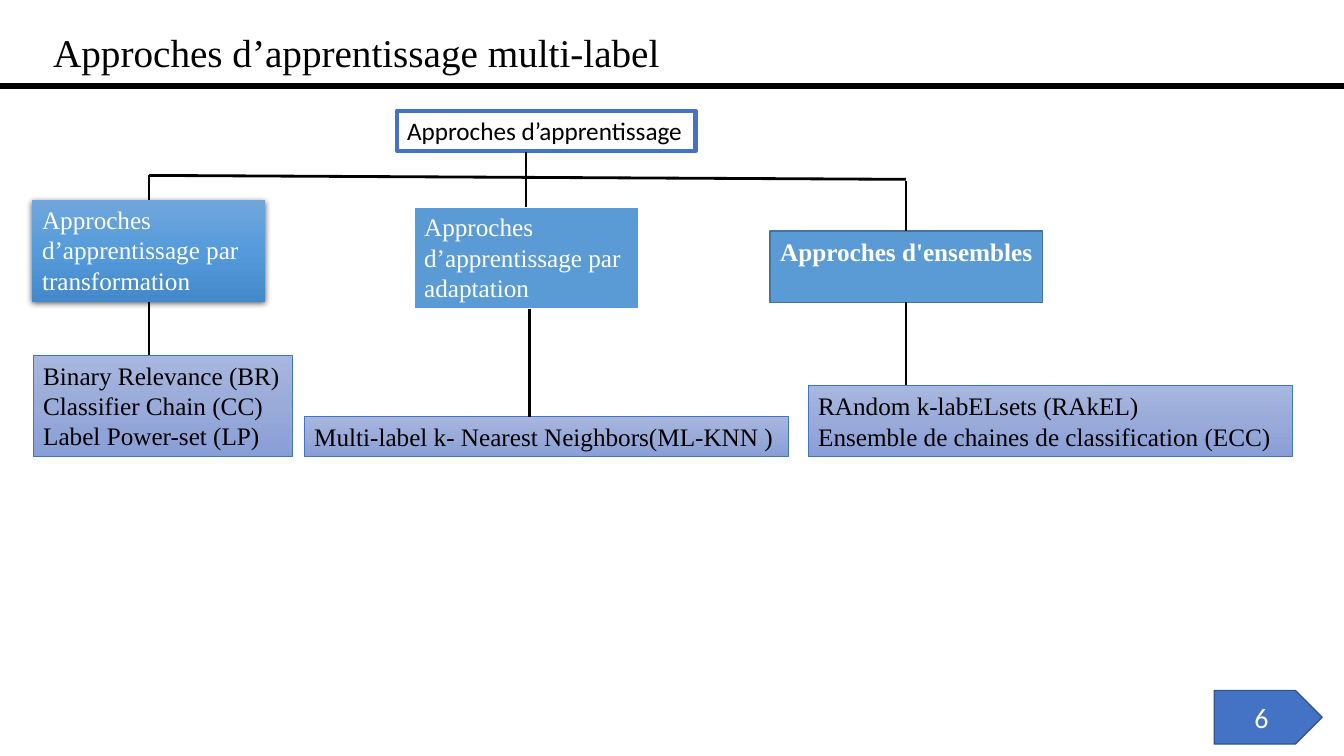
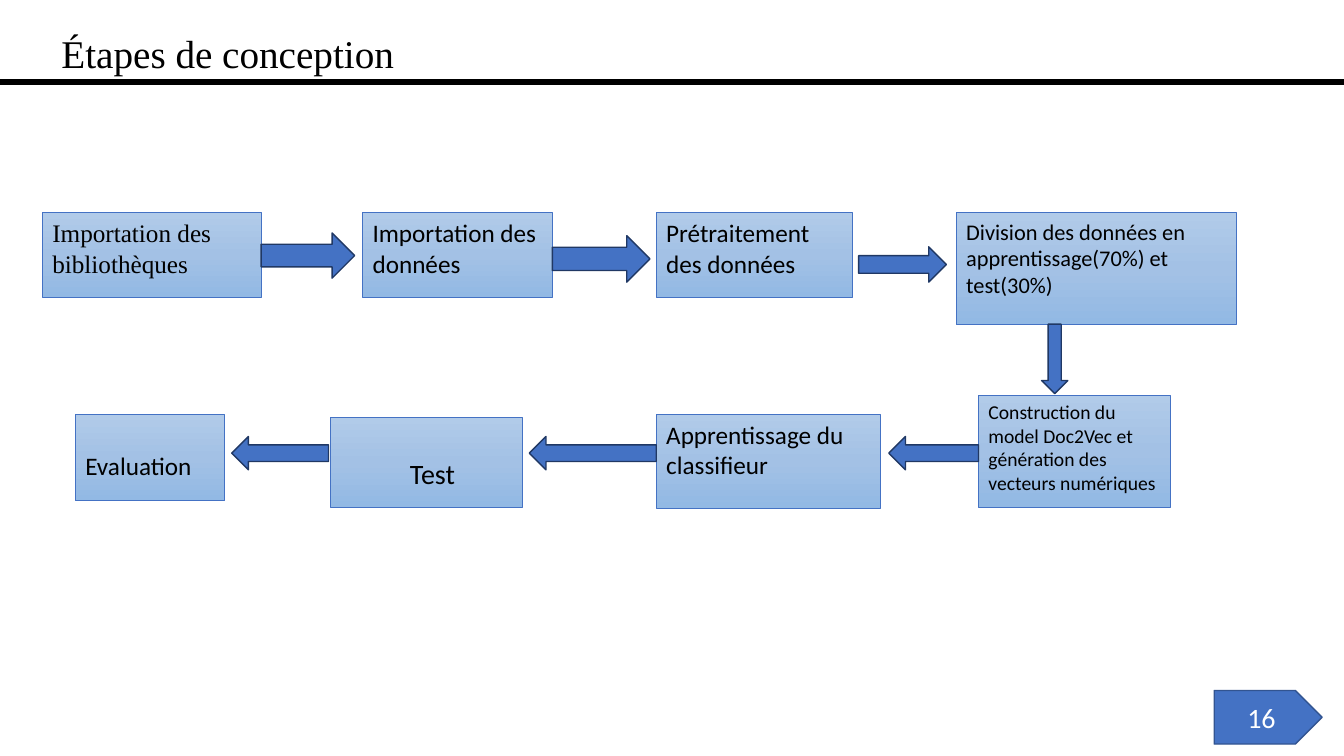
from copy import deepcopy
from dataclasses import dataclass

from lxml import etree
from pptx import Presentation
from pptx.dml.color import RGBColor
from pptx.enum.shapes import MSO_CONNECTOR, MSO_SHAPE
from pptx.enum.text import MSO_ANCHOR, MSO_AUTO_SIZE, PP_ALIGN
from pptx.oxml import parse_xml
from pptx.oxml.ns import nsdecls, qn
from pptx.util import Cm, Pt

STRAIGHT = MSO_CONNECTOR.STRAIGHT
RECTANGLE, PENTAGON = MSO_SHAPE.RECTANGLE, MSO_SHAPE.PENTAGON
RIGHT, LEFT, DOWN = MSO_SHAPE.RIGHT_ARROW, MSO_SHAPE.LEFT_ARROW, MSO_SHAPE.DOWN_ARROW
TOP, MIDDLE = MSO_ANCHOR.TOP, MSO_ANCHOR.MIDDLE
ALIGN_LEFT, ALIGN_CENTER = PP_ALIGN.LEFT, PP_ALIGN.CENTER
NO_AUTOFIT = MSO_AUTO_SIZE.NONE

WIDTH, HEIGHT = 33.87, 19.05


@dataclass(frozen=True)
class Look:
    """Fill (one colour or three gradient stops), outline and text colour."""
    fill: tuple
    line: str = ""
    weight: float = 0
    text: str = "000000"
    shadow: bool = False


@dataclass(frozen=True)
class Theme:
    serif: str = "Times New Roman"
    sans: str = "Calibri"
    ink: str = "000000"
    title_size: int = 28
    large_size: int = 20
    body_size: int = 18
    small_size: int = 16
    tiny_size: int = 14
    rule_weight: float = 4.25
    bus_weight: float = 2
    link_weight: float = 1.75
    root: Look = Look(("FFFFFF",), "4472C4", 3)
    raised: Look = Look(("71A6DB", "559BDB", "448ACA"), text="FFFFFF", shadow=True)
    framed: Look = Look(("5B9BD5",), "FFFFFF", 1.5, "FFFFFF")
    plain: Look = Look(("5B9BD5",), "43739E", 1, "FFFFFF")
    leaf: Look = Look(("A8B7DF", "9AABD9", "889ED7"), "4472C4", 0.5)
    step: Look = Look(("B1CBE9", "A3C1E5", "92B9E4"), "4472C4", 0.5)
    arrow: Look = Look(("4472C4",), "203864", 1)
    badge: Look = Look(("4472C4",), "325491", 1, "FFFFFF")


def set_attributes(target, values):
    for name, value in values.items():
        setattr(target, name, value)


class Deck:
    def __init__(self, theme):
        self.theme = theme
        self.presentation = Presentation()
        self.presentation.slide_width = Cm(WIDTH)
        self.presentation.slide_height = Cm(HEIGHT)
        self.slide = None

    def new_slide(self, title, title_box, rule_top, number):
        """Start a slide with its title, the rule below it and the page badge."""
        theme = self.theme
        self.slide = self.presentation.slides.add_slide(self.presentation.slide_layouts[6])
        shape = self.slide.shapes.add_textbox(*map(Cm, title_box))
        self.set_text(shape, [title], theme.ink,
                      {"size": Pt(theme.title_size), "name": theme.serif})
        self.line((0, rule_top), (WIDTH, rule_top), theme.rule_weight)
        badge = self.shape(PENTAGON, (30.6, 17.4, 2.72, 1.35), theme.badge)
        self.set_text(badge, [number], theme.badge.text,
                      {"size": Pt(theme.large_size), "name": theme.sans},
                      {"vertical_anchor": MIDDLE}, ALIGN_CENTER)

    def line(self, start, end, weight):
        connector = self.slide.shapes.add_connector(STRAIGHT, *map(Cm, (*start, *end)))
        connector.line.color.rgb = RGBColor.from_string(self.theme.ink)
        connector.line.width = Pt(weight)
        etree.SubElement(connector._element.spPr, qn("a:effectLst"))

    def shape(self, kind, box, look):
        shape = self.slide.shapes.add_shape(kind, *map(Cm, box))
        self.paint(shape, look.fill)
        if look.line:
            shape.line.color.rgb = RGBColor.from_string(look.line)
            shape.line.width = Pt(look.weight)
        else:
            shape.line.fill.background()
        shape.shadow.inherit = False
        if look.shadow:
            shape._element.spPr.find(qn("a:effectLst")).append(parse_xml(
                f'<a:outerShdw {nsdecls("a")} blurRad="{Pt(4.5)}" dist="{Pt(1.5)}" '
                'dir="5400000" algn="ctr" rotWithShape="0"><a:srgbClr val="000000">'
                '<a:alpha val="63000"/></a:srgbClr></a:outerShdw>'))
        return shape

    def paint(self, shape, colors):
        """Fill with one colour, or with a gradient running downwards."""
        fill = shape.fill
        if len(colors) == 1:
            fill.solid()
            fill.fore_color.rgb = RGBColor.from_string(colors[0])
            return
        fill.gradient()
        fill.gradient_angle = 270
        stops = shape._element.spPr.find(".//" + qn("a:gsLst"))
        stops.insert(1, deepcopy(stops[0]))
        for index, (stop, color) in enumerate(zip(fill.gradient_stops, colors)):
            stop.position = index / (len(colors) - 1)
            stop.color.rgb = RGBColor.from_string(color)

    def set_text(self, shape, lines, color, font, frame=None, alignment=ALIGN_LEFT):
        text_frame = shape.text_frame
        set_attributes(text_frame, {"word_wrap": True, "auto_size": NO_AUTOFIT,
                                    "vertical_anchor": TOP, **(frame or {})})
        text_frame.text = "\n".join(lines)
        for paragraph in text_frame.paragraphs:
            paragraph.alignment = alignment
            set_attributes(paragraph.font, font)
            paragraph.font.color.rgb = RGBColor.from_string(color)

    def box(self, lines, box, look, font=None, frame=None):
        shape = self.shape(RECTANGLE, box, look)
        defaults = {"size": Pt(self.theme.body_size), "name": self.theme.sans}
        self.set_text(shape, lines, look.text, {**defaults, **(font or {})}, frame)


def build_approaches(deck):
    theme = deck.theme
    serif = {"name": theme.serif}
    deck.new_slide("Approches d’apprentissage multi-label", (1.09, 0.58, 16.21, 1.45), 2.16, "6")
    deck.box(["Approches d’apprentissage"], (10.01, 2.79, 7.52, 1.02), theme.root)

    branches = [
        ("Approches d’apprentissage par transformation", (0.81, 5.03, 5.87, 2.57),
         theme.raised, serif, {}),
        ("Approches d’apprentissage par adaptation", (10.44, 5.21, 5.66, 2.57),
         theme.framed, serif, {}),
        ("Approches d'ensembles", (19.41, 5.82, 6.86, 1.8),
         theme.plain, {**serif, "bold": True}, {"word_wrap": False}),
    ]
    for text, box, look, font, frame in branches:
        deck.box([text], box, look, font, frame)

    leaf_bottom = 11.51
    leaves = [
        (0.84, 6.53, ["Binary Relevance (BR)", "Classifier Chain (CC)", "Label Power-set (LP)"]),
        (7.67, 12.19, ["Multi-label k- Nearest Neighbors(ML-KNN )"]),
        (20.37, 12.19, ["RAndom k-labELsets (RAkEL)",
                        "Ensemble de chaines de classification (ECC)"]),
    ]
    for left, width, lines in leaves:
        height = 0.25 + 0.77 * len(lines)
        deck.box(lines, (left, leaf_bottom - height, width, height), theme.leaf, serif)

    first, last = 3.76, 22.83
    deck.line((first, 4.42), (last, 4.52), theme.bus_weight)
    links = [(first, 4.42, 5.03), (13.26, 3.84, 5.21), (last, 4.57, 5.82),
             (first, 7.6, 8.94), (13.34, 7.78, 10.52), (last, 7.62, 9.7)]
    for x, top, bottom in links:
        deck.line((x, top), (x, bottom), theme.link_weight)


def build_design_steps(deck):
    theme = deck.theme
    deck.new_slide("Étapes de conception", (1.3, 0.61, 8.97, 1.45), 2.06, "16")
    first_row, second_row = 5.36, 10.44
    steps = [
        ("Importation des bibliothèques", (1.07, first_row, 5.51, 2.13),
         {"name": theme.serif}, {}),
        ("Importation des données", (9.14, first_row, 4.78, 2.13), {}, {}),
        ("Prétraitement des données", (16.54, first_row, 4.95, 2.13), {}, {}),
        ("Division des données en apprentissage(70%) et test(30%)",
         (24.1, first_row, 7.06, 2.82), {"size": Pt(theme.small_size)}, {}),
        ("Construction du model Doc2Vec et génération des vecteurs numériques",
         (24.66, 9.96, 4.83, 2.82), {"size": Pt(theme.tiny_size)}, {}),
        ("Apprentissage du classifieur", (16.54, second_row, 5.64, 2.36), {}, {}),
        ("Test", (8.33, 10.52, 4.83, 2.26), {"size": Pt(theme.large_size)},
         {"margin_top": Cm(0.99), "margin_left": Cm(2)}),
        ("Evaluation", (1.9, second_row, 3.76, 2.18), {}, {"margin_top": Cm(0.9)}),
    ]
    for text, box, font, frame in steps:
        deck.box([text], box, theme.step, font, frame)

    return_top, return_height = 11, 0.84
    arrows = [
        (RIGHT, (6.58, 5.87, 2.36, 1.14)),
        (RIGHT, (13.92, 5.94, 2.46, 1.17)),
        (RIGHT, (21.64, 6.22, 2.21, 0.89)),
        (DOWN, (26.25, 8.17, 0.66, 1.75)),
        (LEFT, (22.4, return_top, 2.26, return_height)),
        (LEFT, (13.34, return_top, 3.2, return_height)),
        (LEFT, (5.84, return_top, 2.44, return_height)),
    ]
    for kind, box in arrows:
        deck.shape(kind, box, theme.arrow)


def main():
    deck = Deck(Theme())
    build_approaches(deck)
    build_design_steps(deck)
    deck.presentation.save("out.pptx")


if __name__ == "__main__":
    main()
